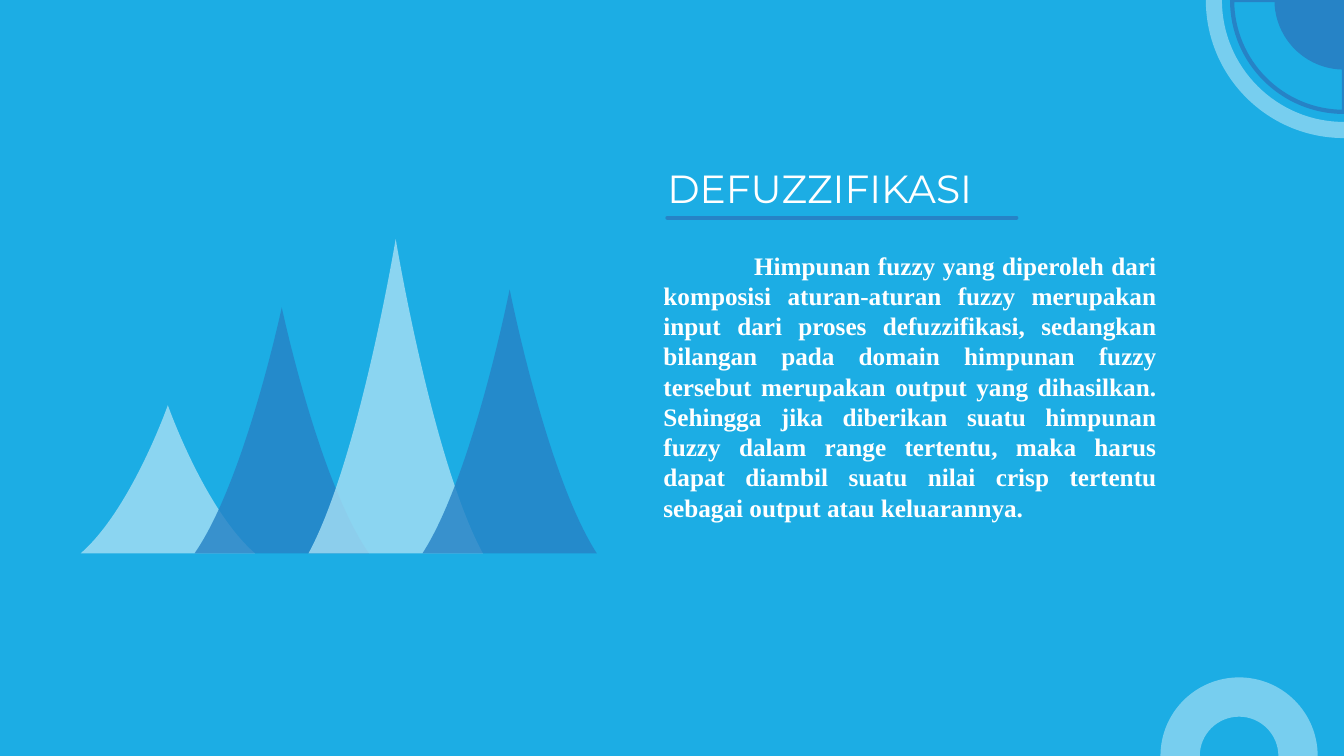
import dataclasses
import math
from typing import Optional

import lxml.etree
import pptx
import pptx.dml.color
import pptx.enum.shapes
import pptx.enum.text
import pptx.oxml
import pptx.oxml.ns
import pptx.util

Inches = pptx.util.Inches
Pt = pptx.util.Pt
qn = pptx.oxml.ns.qn
Point = tuple[float, float]
Segment = tuple[Point, ...]

WIDTH, HEIGHT = 13.33, 7.5
COLORS = {
    "background": "1CADE4",
    "pale": "A4DEF4",
    "ring": "77CEEF",
    "blue": "2683C6",
    "white": "FFFFFF",
}
BODY = (
    "Himpunan fuzzy yang diperoleh dari komposisi aturan-aturan fuzzy merupakan "
    "input dari proses defuzzifikasi, sedangkan bilangan pada domain himpunan fuzzy "
    "tersebut merupakan output yang dihasilkan. Sehingga jika diberikan suatu himpunan "
    "fuzzy dalam range tertentu, maka harus dapat diambil suatu nilai crisp tertentu "
    "sebagai output atau keluarannya."
)


@dataclasses.dataclass
class Peak:
    height: float
    color: str


@dataclasses.dataclass
class Sector:
    center: Point
    outer: float
    inner: float
    quarters: list[int]
    fill: Optional[str] = None
    line: Optional[str] = None


CORNER = (WIDTH, 0)
PEAKS = [Peak(1.47, "pale"), Peak(2.44, "blue"), Peak(3.12, "pale"), Peak(2.62, "blue")]
SECTORS = [
    Sector((12.29, HEIGHT), 0.78, 0.39, [2, 3], fill="ring"),
    Sector(CORNER, 1.11, 0, [1], line="blue"),
    Sector(CORNER, 0.69, 0, [1], fill="blue"),
    Sector(CORNER, 1.37, 1.21, [1], fill="ring"),
]


def rgb(name: str) -> pptx.dml.color.RGBColor:
    return pptx.dml.color.RGBColor.from_string(COLORS[name])


def add_outline(slide, start: Point, segments: list[Segment], fill: Optional[str] = None,
                line: Optional[str] = None, alpha: int = 100, close: bool = True):
    builder = slide.shapes.build_freeform(Inches(start[0]), Inches(start[1]))
    builder.add_line_segments([(Inches(s[-1][0]), Inches(s[-1][1])) for s in segments], close=close)
    sp = builder.convert_to_shape()
    for node, segment in zip(list(sp._element.iter(qn("a:lnTo"))), segments):
        if len(segment) == 3:
            node.tag = qn("a:cubicBezTo")
            node.remove(node[0])
            for x, y in segment:
                lxml.etree.SubElement(node, qn("a:pt"), x=str(Inches(x) - sp.left),
                                      y=str(Inches(y) - sp.top))
    sp.shadow.inherit = False
    if fill:
        sp.fill.solid()
        sp.fill.fore_color.rgb = rgb(fill)
        if alpha < 100:
            color = sp.fill._xPr.find(qn("a:solidFill"))[0]
            lxml.etree.SubElement(color, qn("a:alpha"), val=str(alpha * 1000))
    else:
        sp.fill.background()
    if line:
        sp.line.color.rgb = rgb(line)
        sp.line.width = Pt(3)
    else:
        sp.line.fill.background()
    return sp


def add_peak(slide, index: int, peak: Peak) -> None:
    left, base, width = 0.8 + 1.13 * index, 5.49, 1.73
    right, flare = left + width, base - 0.295 * peak.height
    tip, start, end = (left + width / 2, base - peak.height), (left, base), (right, base)
    segments = [
        (tip, (right - 0.5, flare), end),
        (start, start, start),
        ((left + 0.5, flare), tip, tip),
    ]
    add_outline(slide, tip, segments, fill=peak.color, alpha=82, close=False)


def quarter_arc(center: Point, radius: float, quarter: int) -> list[Point]:
    a = math.radians(90 * quarter)
    kappa = 0.5523
    corners = [(1, 0), (1, kappa), (kappa, 1), (0, 1)]
    return [(center[0] + radius * (u * math.cos(a) - v * math.sin(a)),
             center[1] + radius * (u * math.sin(a) + v * math.cos(a))) for u, v in corners]


def add_sector(slide, s: Sector) -> None:
    outside = [quarter_arc(s.center, s.outer, q) for q in s.quarters]
    segments = [tuple(arc[1:]) for arc in outside]
    if s.inner:
        inside = [quarter_arc(s.center, s.inner, q)[::-1] for q in reversed(s.quarters)]
        segments.append((inside[0][0],))
        segments += [tuple(arc[1:]) for arc in inside]
    else:
        segments.append((s.center,))
    add_outline(slide, outside[0][0], segments, s.fill, s.line)


def add_run(p, text: str, font: str, size: float, bold: bool = False) -> None:
    r = p.add_run()
    r.text = text
    r.font.name = font
    r.font.size = Pt(size)
    r.font.bold = bold
    r.font.color.rgb = rgb("white")


def add_title(slide) -> None:
    tf = slide.shapes.add_textbox(Inches(6.52), Inches(1.58), Inches(5.01), Inches(0.57)).text_frame
    tf.word_wrap = True
    tf.auto_size = pptx.enum.text.MSO_AUTO_SIZE.SHAPE_TO_FIT_TEXT
    add_run(tf.paragraphs[0], "DEFUZZIFIKASI", "Montserrat", 28)


def add_rule(slide) -> None:
    rule = slide.shapes.add_connector(
        pptx.enum.shapes.MSO_CONNECTOR.STRAIGHT,
        Inches(6.62), Inches(2.16), Inches(10.08), Inches(2.16))
    rule.line.color.rgb = rgb("blue")
    rule.line.width = Pt(3)
    rule.line._get_or_add_ln().set("cap", "rnd")
    lxml.etree.SubElement(rule._element.spPr, qn("a:effectLst"))


def add_body(slide) -> None:
    left, top, right, bottom = 6.52, 2.42, 11.53, 5.26
    sp = add_outline(slide, (left, top), [((right, top),), ((right, bottom),), ((left, bottom),)])
    tf = sp.text_frame
    tf.word_wrap = True
    tf.auto_size = pptx.enum.text.MSO_AUTO_SIZE.SHAPE_TO_FIT_TEXT
    tf.vertical_anchor = pptx.enum.text.MSO_ANCHOR.TOP
    tf.margin_left = tf.margin_right = tf.margin_top = tf.margin_bottom = Inches(0.06)
    p = tf.paragraphs[0]
    p.alignment = pptx.enum.text.PP_ALIGN.JUSTIFY
    p.line_spacing = Pt(21.6)
    tabs = lxml.etree.SubElement(p._p.get_or_add_pPr(), qn("a:tabLst"))
    lxml.etree.SubElement(tabs, qn("a:tab"), pos=str(Inches(0.9)), algn="l")
    for text in ("\t", BODY):
        add_run(p, text, "Times New Roman", 18, bold=True)


def main() -> None:
    prs = pptx.Presentation()
    prs.slide_width, prs.slide_height = Inches(WIDTH), Inches(HEIGHT)
    slide = prs.slides.add_slide(prs.slide_layouts[6])
    slide.background.fill.solid()
    slide.background.fill.fore_color.rgb = rgb("background")
    for index, peak in enumerate(PEAKS):
        add_peak(slide, index, peak)
    add_title(slide)
    add_body(slide)
    add_rule(slide)
    for sector in SECTORS:
        add_sector(slide, sector)
    prs.save("out.pptx")


if __name__ == "__main__":
    main()
